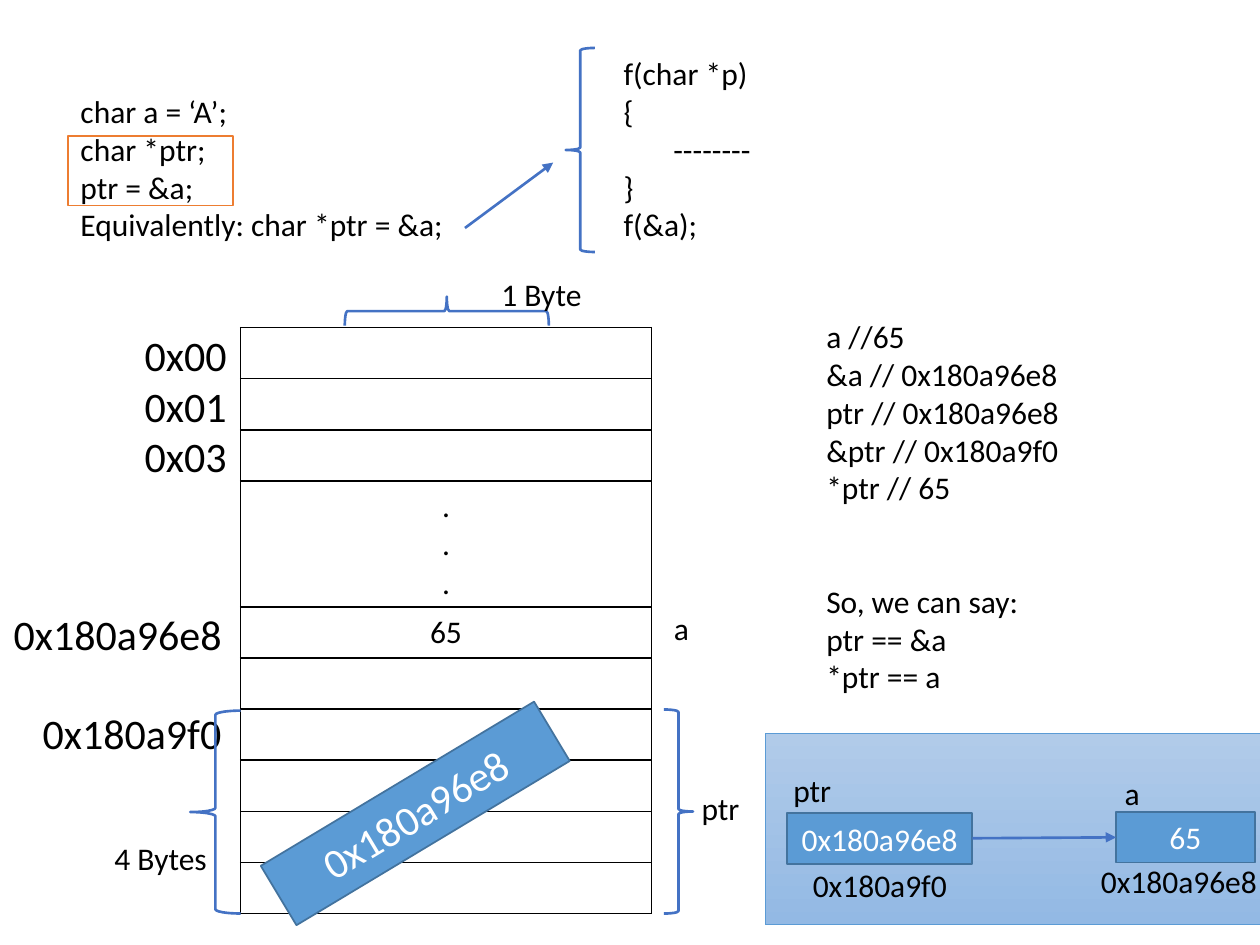
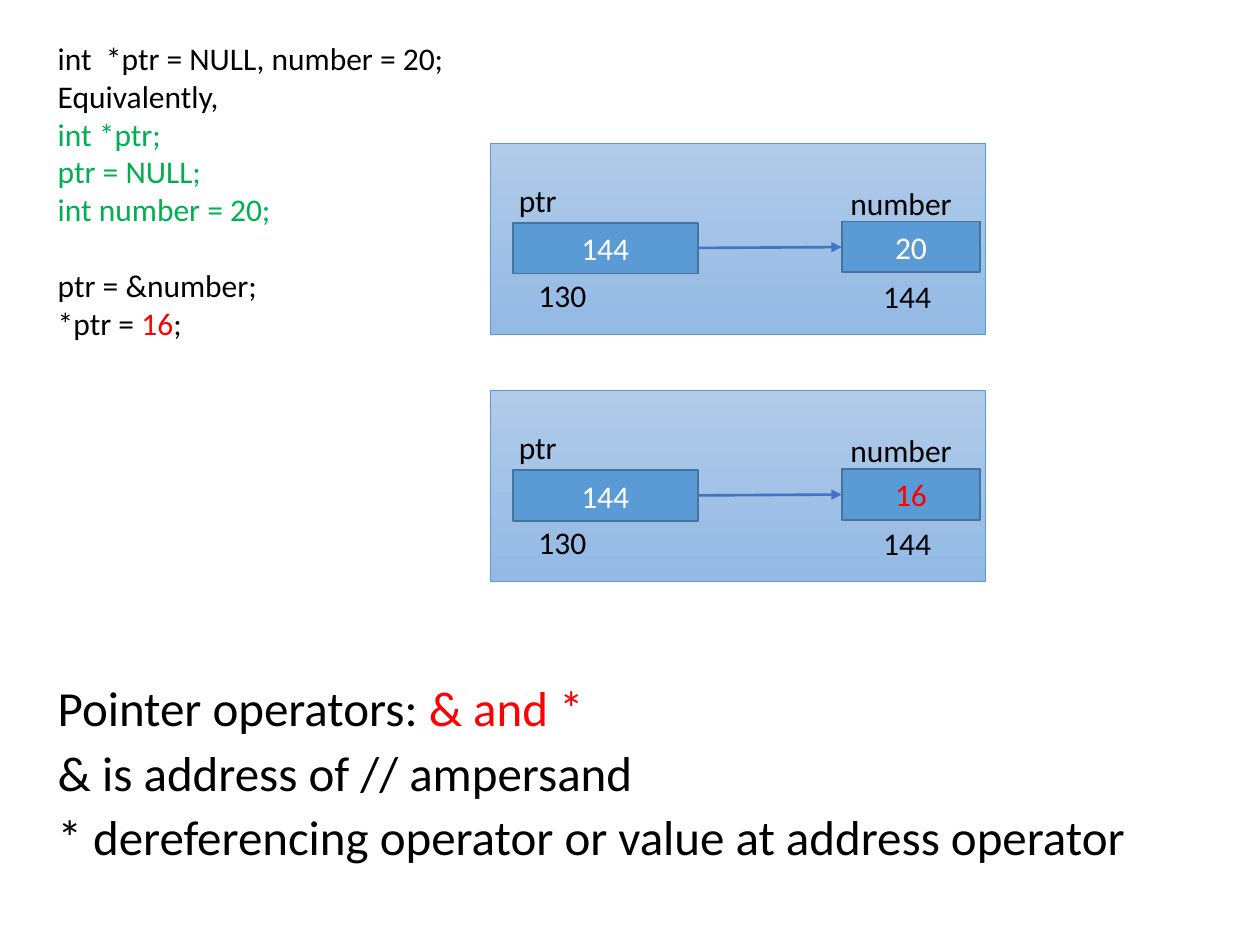
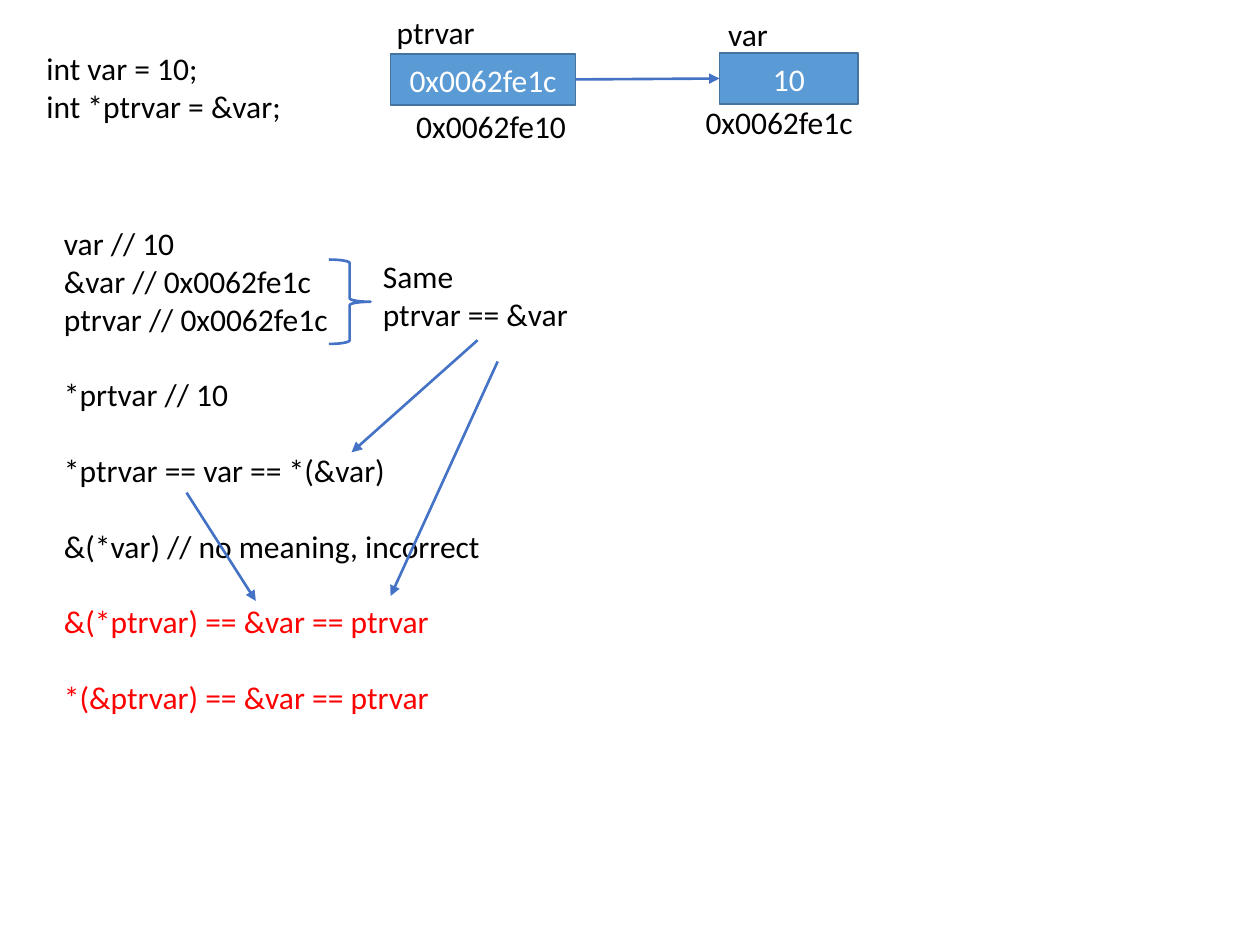
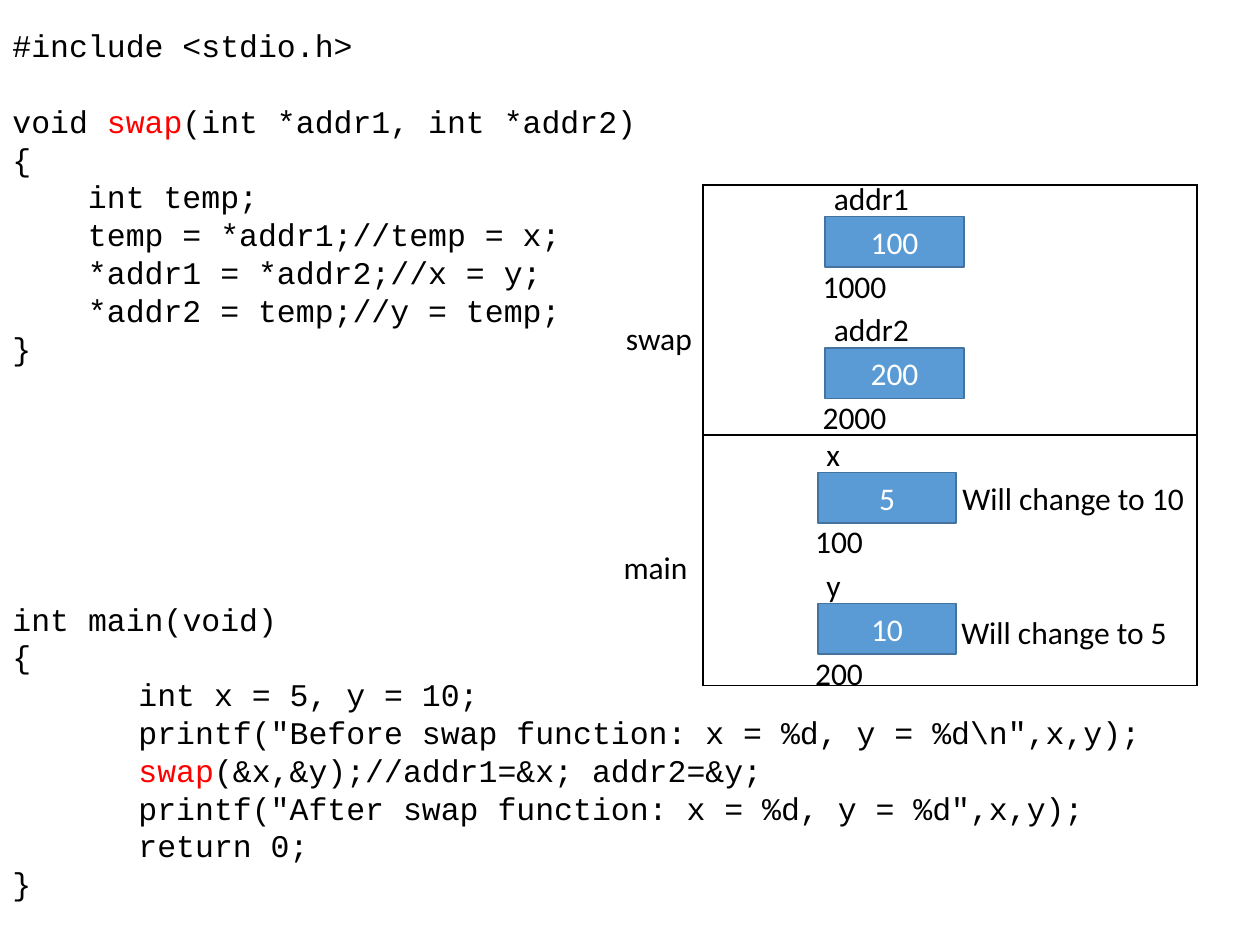
from dataclasses import dataclass

import pptx
import pptx.dml.color
import pptx.enum.dml
import pptx.enum.shapes
import pptx.enum.text
import pptx.oxml
import pptx.oxml.ns
import pptx.util

Pt = pptx.util.Pt
SHAPE = pptx.enum.shapes.MSO_SHAPE
ALIGN = pptx.enum.text.PP_ALIGN
ANCHOR = pptx.enum.text.MSO_ANCHOR
FIT = pptx.enum.text.MSO_AUTO_SIZE

# Shared look
BLACK, WHITE, RED, GREEN = "000000", "FFFFFF", "FF0000", "00B050"
CELL_FILL, CELL_LINE = "5B9BD5", "43739E"
PANEL_TOP, PANEL_BOTTOM = "B1CBE9", "93B9E4"
ACCENT, ORANGE = "4472C4", "ED7D31"
BODY_FONT, CODE_FONT = "Calibri", "Courier New"
LINE_H = 21.6          # one line of 18 pt text
CELL_H = 29
POINTER_W, VALUE_W = 105.8, 79.2


@dataclass
class Line:
    """One paragraph; the part named by marked is red."""
    text: str
    color: str = BLACK
    marked: str = ""
    indent: float = 0
    gap: float = 0


def rgb(hex_color):
    return pptx.dml.color.RGBColor.from_string(hex_color)


def style_run(r, size, color, font=BODY_FONT):
    r.font.size = Pt(size)
    r.font.name = font
    r.font.color.rgb = rgb(color)


def write_line(p, line, size, font):
    if not line.marked:
        p.text = line.text
        style_run(p.runs[0], size, line.color, font)
    else:
        before, marked, after = line.text.partition(line.marked)
        for part, color in ((before, line.color), (marked, RED), (after, line.color)):
            if part:
                r = p.add_run()
                r.text = part
                style_run(r, size, color, font)
    if line.indent:
        p._p.get_or_add_pPr().set("marL", str(Pt(line.indent)))
    if line.gap:
        p.space_before = Pt(line.gap)


def add_text(s, x, y, w, h, lines, size=18, font=BODY_FONT, wrap=False):
    """Text box; lines is one string, or a list of strings and Lines."""
    tf = s.shapes.add_textbox(Pt(x), Pt(y), Pt(w), Pt(h)).text_frame
    tf.word_wrap = wrap
    tf.auto_size = FIT.SHAPE_TO_FIT_TEXT
    lines = [lines] if isinstance(lines, str) else lines
    for i, line in enumerate(lines):
        p = tf.add_paragraph() if i else tf.paragraphs[0]
        write_line(p, Line(line) if isinstance(line, str) else line, size, font)
    return tf


def add_label(s, x, y, w, text, wrap=False):
    add_text(s, x, y, w, CELL_H, text, wrap=wrap)


def add_preset(s, kind, x, y, w, h, line, weight, fill=None, rotation=0):
    sp = s.shapes.add_shape(kind, Pt(x), Pt(y), Pt(w), Pt(h))
    sp.shadow.inherit = False
    sp.rotation = rotation
    sp.line.color.rgb = rgb(line)
    sp.line.width = Pt(weight)
    if fill:
        sp.fill.solid()
        sp.fill.fore_color.rgb = rgb(fill)
    else:
        sp.fill.background()
    return sp


def add_box(s, x, y, w, h, text, size=18, color=WHITE, rotation=0):
    """Blue memory box with a centred value."""
    sp = add_preset(s, SHAPE.RECTANGLE, x, y, w, h, CELL_LINE, 1, CELL_FILL, rotation)
    tf = sp.text_frame
    tf.text = text
    tf.vertical_anchor = ANCHOR.MIDDLE
    p = tf.paragraphs[0]
    p.alignment = ALIGN.CENTER
    style_run(p.runs[0], size, color)


def add_brace(s, x, y, w, h, rotation=0):
    add_preset(s, SHAPE.LEFT_BRACE, x, y, w, h, ACCENT, 1.5, rotation=rotation)


def add_arrow(s, x1, y1, x2, y2):
    c = s.shapes.add_connector(pptx.enum.shapes.MSO_CONNECTOR.STRAIGHT,
                               Pt(x1), Pt(y1), Pt(x2), Pt(y2))
    c.line.color.rgb = rgb(ACCENT)
    c.line.width = Pt(1.5)
    tail = pptx.oxml.ns.qn("a:tailEnd")
    c.line._get_or_add_ln().makeelement(tail)
    ln = c.line._get_or_add_ln()
    ln.append(ln.makeelement(tail, {"type": "triangle"}))
    sp_pr = c._element.spPr
    sp_pr.append(sp_pr.makeelement(pptx.oxml.ns.qn("a:effectLst")))


def add_panel(s, x, y):
    sp = add_preset(s, SHAPE.RECTANGLE, x, y, 283, 109.4, CELL_FILL, 0.5, WHITE)
    sp.fill.gradient()
    sp.fill.gradient_angle = 270
    for stop, color in zip(sp.fill.gradient_stops, (PANEL_TOP, PANEL_BOTTOM)):
        stop.color.rgb = rgb(color)
    stops = sp.fill.gradient_stops
    stops[0].position, stops[1].position = 0, 1


def add_cell(s, x, y, w, name, name_w, value, address, name_at=(-2.2, -25.2),
             address_at=(-8.6, 25), color=WHITE):
    """Variable: its name above the box, its address below."""
    add_box(s, x, y, w, CELL_H, value, color=color)
    add_label(s, x + name_at[0], y + name_at[1], name_w, name)
    add_label(s, x + address_at[0], y + address_at[1], POINTER_W, address, wrap=True)


def add_pointer(s, x, y, pointer, target, target_address_at, color=WHITE, panel=True):
    """Pointer variable with an arrow to the variable it points at."""
    if panel:
        add_panel(s, x - 12.6, y - 45.6)
    target_x = x + 188
    add_cell(s, x, y, POINTER_W, *pointer, name_at=(-3.6, -27.4), address_at=(7.6, 26.6))
    add_cell(s, target_x, y - 0.7, VALUE_W, *target, address_at=target_address_at,
             color=color)
    add_arrow(s, x + POINTER_W, y + 14.4, target_x, y + 13.9)


def add_grid(s, x, y, w, heights):
    """One-column table with black rules and no fill."""
    frame = s.shapes.add_table(len(heights), 1, Pt(x), Pt(y), Pt(w), Pt(sum(heights)))
    tbl = frame.table
    tbl.first_row = tbl.horz_banding = False
    tbl.columns[0].width = Pt(w)
    for row, height in zip(tbl.rows, heights):
        row.height = Pt(height)
        cell = row.cells[0]
        pr = cell._tc.get_or_add_tcPr()
        for side in ("lnL", "lnR", "lnT", "lnB"):
            pr.append(pptx.oxml.parse_xml(
                f'<a:{side} {pptx.oxml.ns.nsdecls("a")} w="{Pt(1)}"><a:solidFill>'
                f'<a:srgbClr val="{BLACK}"/></a:solidFill></a:{side}>'))
        cell.fill.background()
    return tbl


def fill_cell(cell, lines):
    cell.text_frame.text = "\n".join(lines)
    for p in cell.text_frame.paragraphs:
        p.alignment = ALIGN.CENTER
        style_run(p.runs[0], 18, BLACK)


def memory_slide(s):
    # Code and the equivalent call
    add_preset(s, SHAPE.RECTANGLE, 38.9, 77.8, 94.3, 39.6, ORANGE, 1, WHITE)
    add_text(s, 38.9, 49, 226.8, 94.3,
             ["char a = ‘A’;", "char *ptr;", "ptr = &a;", "Equivalently: char *ptr = &a;"])
    add_text(s, 349.2, 27.4, 87.8, 116.6,
             ["f(char *p)", "{", Line("--------", indent=28.5), "}", "f(&a);"])
    add_brace(s, 323.3, 27.4, 16.6, 116.6)
    add_arrow(s, 265.7, 130.3, 316.1, 92.9)

    # Memory column
    row_h = 29.2
    tbl = add_grid(s, 137.5, 187.2, 234.7, [row_h] * 3 + [72] + [row_h] * 6)
    fill_cell(tbl.cell(3, 0), [".", ".", "."])
    fill_cell(tbl.cell(4, 0), ["65"])
    add_text(s, 75.6, 185, 61.9, 94.3, ["0x00", "0x01", "0x03"], size=24)
    add_text(s, 0.7, 344.2, 134.6, 36, "0x180a96e8", size=24)
    add_text(s, 17.3, 401, 117.4, 36, "0x180a9f0", size=24)
    add_box(s, 146.2, 445, 182.2, 39.6, "0x180a96e8", size=24, rotation=329)

    # Braces and their labels
    add_brace(s, 247, 119.5, 16.6, 116.6, rotation=90)
    add_brace(s, 108.7, 406.1, 28.8, 115.9)
    add_brace(s, 379.4, 405.4, 16.6, 116.6, rotation=180)
    for x, y, w, text in ((279.4, 153.4, 60.5, "1 Byte"), (58.3, 475.9, 67.7, "4 Bytes"),
                          (378, 344.2, 23, "a"), (393.8, 447.1, 36.7, "ptr")):
        add_label(s, x, y, w, text)

    # Values and the pointer diagram
    add_text(s, 465.1, 177.8, 149, 225.4,
             ["a //65", "&a // 0x180a96e8", "ptr // 0x180a96e8", "&ptr // 0x180a9f0",
              "*ptr // 65", Line("So, we can say:", gap=2 * LINE_H), "ptr == &a", "*ptr == a"])
    add_pointer(s, 449.8, 464.6, ("ptr", 36.7, "0x180a96e8", "0x180a9f0"),
                ("a", 23, "65", "0x180a96e8"), (-15.8, 25.2))


def operators_slide(s):
    tf = add_text(s, 25.9, 390.2, 692.6, 109.4,
                  [Line("Pointer operators: & and *", marked="& and *"),
                   "& is address of // ampersand",
                   "* dereferencing operator or value at address operator"],
                  size=28, wrap=True)
    tf.auto_size = FIT.NONE
    for p in tf.paragraphs:
        p.line_spacing = 0.8
        p.space_before = Pt(10)
    add_text(s, 25.9, 18.7, 238.3, 181.4,
             ["int  *ptr = NULL, number = 20;", "Equivalently,",
              Line("int *ptr;", GREEN), Line("ptr = NULL;", GREEN),
              Line("int number = 20;", GREEN), Line("ptr = &number;", gap=LINE_H),
              Line("*ptr = 16;", marked="16")])

    # Before and after the assignment
    for y, value, color in ((127.3, "20", WHITE), (268.7, "16", RED)):
        add_pointer(s, 293, y, ("ptr", 36.7, "144", "130"),
                    ("number", 73.4, value, "144"), (16.6, 28.1), color=color)


def address_slide(s):
    add_text(s, 19.4, 24.5, 150.5, 51.1, ["int var = 10;", "int *ptrvar = &var;"])
    add_pointer(s, 223.2, 31, ("ptrvar", 59.8, "0x0062fe1c", "0x0062fe10"),
                ("var", 37.4, "10", "0x0062fe1c"), (-15.1, 25.2), panel=False)
    add_text(s, 29.5, 124.6, 254.9, 290.9,
             ["var // 10", "&var // 0x0062fe1c", "ptrvar // 0x0062fe1c",
              Line("*prtvar // 10", gap=LINE_H),
              Line("*ptrvar == var == *(&var)", gap=LINE_H),
              Line("&(*var) // no meaning, incorrect", gap=LINE_H),
              Line("&(*ptrvar) == &var == ptrvar", RED, gap=LINE_H),
              Line("*(&ptrvar) == &var == ptrvar", RED, gap=LINE_H)])
    add_brace(s, 187.9, 148.3, 23.8, 48.2, rotation=180)
    add_text(s, 211.7, 143.3, 121.7, 51.1, ["Same", "ptrvar == &var"])
    for ends in ((272.9, 194.4, 200.9, 258.5), (284.4, 206.6, 223.2, 340.6),
                 (106.6, 281.5, 146.2, 343.4)):
        add_arrow(s, *ends)


def swap_slide(s):
    # Program
    step, tab = 43.2, 72
    add_text(s, 0, 11.5, 393.1, 225.4,
             ["#include <stdio.h>",
              Line("void swap(int *addr1, int *addr2)", marked="swap", gap=LINE_H), "{",
              Line("int temp;", indent=step),
              Line("temp = *addr1;//temp = x;", indent=step),
              Line("*addr1 = *addr2;//x = y;", indent=step),
              Line("*addr2 = temp;//y = temp;", indent=step), "}"],
             font=CODE_FONT, wrap=True)
    add_text(s, 0, 339.1, 673.2, 181.4,
             ["int main(void)", "{", Line("int x = 5, y = 10;", indent=tab),
              Line('printf("Before swap function: x = %d, y = %d\\n",x,y);', indent=tab),
              Line("swap(&x,&y);//addr1=&x; addr2=&y;", marked="swap", indent=tab),
              Line('printf("After swap function: x = %d, y = %d",x,y);', indent=tab),
              Line("return 0;", indent=tab), "}"],
             font=CODE_FONT, wrap=True)

    # Stack frames and their variables
    add_grid(s, 401.8, 105.8, 282.2, [142.9] * 2)
    pitch = 74.9
    frames = ((471.6, 123.8, 58.3, (("addr1", "100", "1000"), ("addr2", "200", "2000"))),
              (467.3, 270, 22.7, (("x", "5", "100"), ("y", "10", "200"))))
    for x, top, name_w, variables in frames:
        for i, (name, value, address) in enumerate(variables):
            add_cell(s, x, top + i * pitch, VALUE_W, name, name_w, value, address)
    for x, y, w, text in ((350.6, 178.6, 52.6, "swap"), (349.2, 309.6, 51.8, "main"),
                          (542.9, 270, 142.6, "Will change to 10"),
                          (542.2, 347, 133.2, "Will change to 5")):
        add_label(s, x, y, w, text)


def main():
    prs = pptx.Presentation()
    prs.slide_width, prs.slide_height = Pt(720), Pt(540)
    for build in (memory_slide, operators_slide, address_slide, swap_slide):
        build(prs.slides.add_slide(prs.slide_layouts[6]))
    prs.save("out.pptx")


if __name__ == "__main__":
    main()
